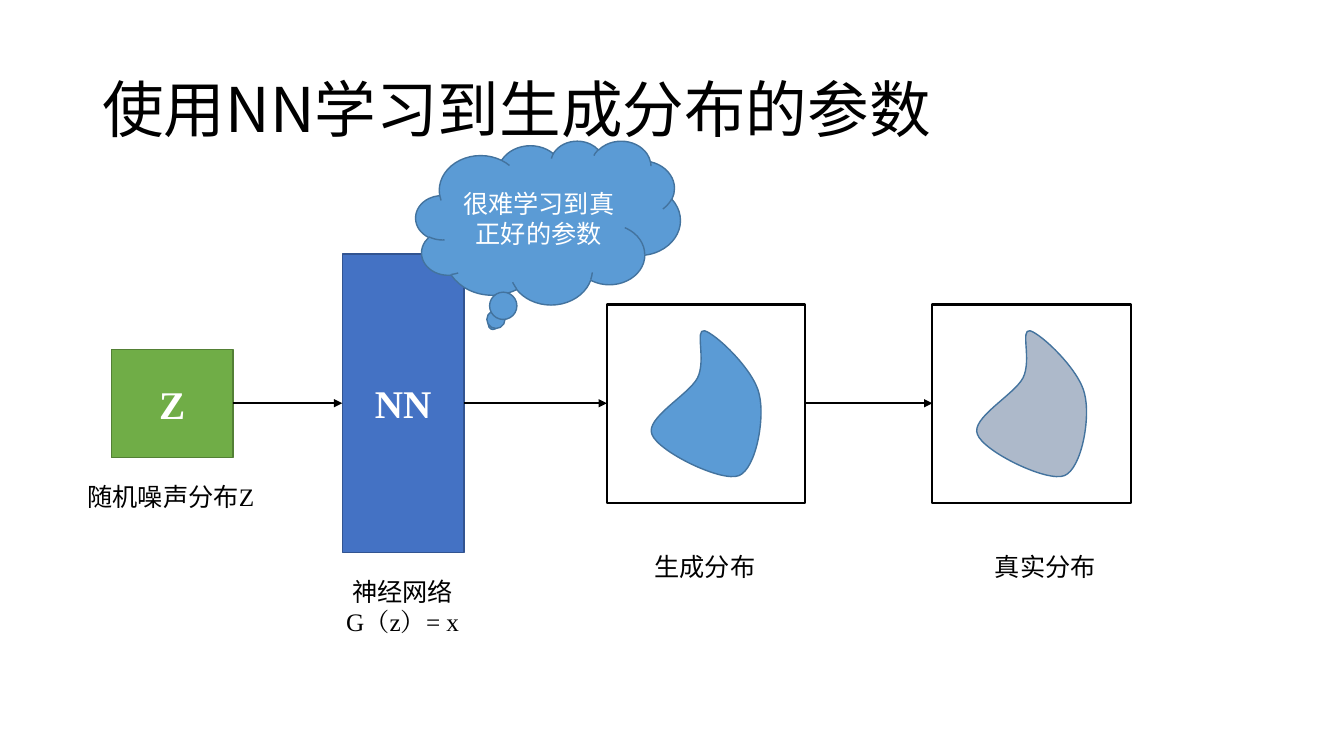
from dataclasses import dataclass

from lxml.etree import SubElement
from pptx import Presentation
from pptx.dml.color import RGBColor
from pptx.enum.shapes import MSO_CONNECTOR, MSO_SHAPE
from pptx.enum.text import MSO_ANCHOR, MSO_AUTO_SIZE, PP_ALIGN
from pptx.oxml.ns import qn
from pptx.shapes.autoshape import Shape
from pptx.util import Emu, Pt

PX = 9525
SANS = "Noto Sans CJK SC"
SERIF = "Times New Roman"
BLACK, WHITE, SKY, SKY_EDGE = "000000", "FFFFFF", "5B9BD5", "43739E"
FLOW_Y = 384

Run = tuple[str, str]
Paragraph = list[Run]
Point = tuple[int, int]


@dataclass
class Box:
    left: int
    top: int
    width: int
    height: int

    def emu(self) -> list[Emu]:
        return [px(v) for v in (self.left, self.top, self.width, self.height)]


@dataclass
class Block:
    box: Box
    word: str
    fill: str
    edge: str


@dataclass
class Distribution:
    box: Box
    blob_fill: str


@dataclass
class Label:
    box: Box
    paragraphs: list[Paragraph]
    align: PP_ALIGN = PP_ALIGN.LEFT


def px(value: int) -> Emu:
    return Emu(value * PX)


def color(value: str) -> RGBColor:
    return RGBColor.from_string(value)


def write(shape: Shape, paragraphs: list[Paragraph], *, size: int = 18, ink: str = BLACK,
          bold: bool = False, align: PP_ALIGN = PP_ALIGN.LEFT,
          anchor: MSO_ANCHOR = MSO_ANCHOR.TOP, wrap: bool = True,
          spacing: float = 1.0) -> None:
    frame = shape.text_frame
    frame.word_wrap = wrap
    frame.vertical_anchor = anchor
    for index, runs in enumerate(paragraphs):
        paragraph = frame.add_paragraph() if index else frame.paragraphs[0]
        paragraph.alignment = align
        paragraph.line_spacing = spacing
        for words, typeface in runs:
            run = paragraph.add_run()
            run.text = words
            run.font.size = Pt(size)
            run.font.bold = bold
            run.font.name = typeface
            run.font.color.rgb = color(ink)
            SubElement(run.font._element, qn("a:ea"), typeface=typeface)


def paint(shape: Shape, fill: str, edge: str, weight: float = 1) -> None:
    shape.shadow.inherit = False
    shape.fill.solid()
    shape.fill.fore_color.rgb = color(fill)
    shape.line.color.rgb = color(edge)
    shape.line.width = Pt(weight)


BLOB_GRID = (109, 144)
BLOB_START = (1, 103)
BLOB_CURVES = [
    [(-6, 87), (37, 64), (46, 47)],
    [(55, 29), (43, -2), (53, 0)],
    [(64, 3), (102, 39), (107, 63)],
    [(113, 87), (104, 137), (87, 144)],
    [(70, 151), (7, 120), BLOB_START],
]


def add_step(outline, tag: str, points: list[Point]) -> None:
    step = SubElement(outline, qn(tag))
    for x, y in points:
        SubElement(step, qn("a:pt"), x=str(x), y=str(y))


def draw_blob(shapes, frame: Box, fill: str) -> None:
    builder = shapes.build_freeform(*BLOB_START, scale=PX)
    builder.add_line_segments([curve[-1] for curve in BLOB_CURVES])
    blob = builder.convert_to_shape()
    box = Box(frame.left + 42, frame.top + 25, 105, 138)
    blob.left, blob.top, blob.width, blob.height = box.emu()
    outline = next(blob._element.iter(qn("a:path")))
    for step in list(outline):
        outline.remove(step)
    for side, length in zip("wh", BLOB_GRID):
        outline.set(side, str(length))
    add_step(outline, "a:moveTo", [BLOB_START])
    for curve in BLOB_CURVES:
        add_step(outline, "a:cubicBezTo", curve)
    add_step(outline, "a:close", [])
    paint(blob, fill, SKY_EDGE)


def draw_arrow(shapes, source: Box, target: Box) -> None:
    arrow = shapes.add_connector(MSO_CONNECTOR.STRAIGHT, px(source.left + source.width),
                                 px(FLOW_Y), px(target.left), px(FLOW_Y))
    arrow.line.color.rgb = color(BLACK)
    arrow.line.width = Pt(1.5)
    SubElement(arrow.line._get_or_add_ln(), qn("a:tailEnd"), type="triangle")
    SubElement(arrow._element.spPr, qn("a:effectLst"))


def draw_block(shapes, block: Block) -> None:
    square = shapes.add_shape(MSO_SHAPE.RECTANGLE, *block.box.emu())
    paint(square, block.fill, block.edge)
    write(square, [[(block.word, SERIF)]], size=28, ink=WHITE, bold=True,
          align=PP_ALIGN.CENTER, anchor=MSO_ANCHOR.MIDDLE)


def draw_distribution(shapes, distribution: Distribution) -> None:
    frame = shapes.add_shape(MSO_SHAPE.RECTANGLE, *distribution.box.emu())
    paint(frame, WHITE, BLACK, 1.5)
    draw_blob(shapes, distribution.box, distribution.blob_fill)


BLOCKS = [
    Block(Box(106, 333, 116, 103), "Z", "70AD47", "538035"),
    Block(Box(326, 242, 116, 284), "NN", "4472C4", "325491"),
]
DISTRIBUTIONS = [
    Distribution(Box(578, 290, 189, 189), SKY),
    Distribution(Box(888, 290, 189, 189), "ADB9CA"),
]
LABELS = [
    Label(Box(74, 454, 183, 38), [[("随机噪声分布", SANS), ("Z", SERIF)]]),
    Label(Box(305, 544, 157, 68), [[("神经网络", SANS)], [("G（z）= x", SERIF)]],
          PP_ALIGN.CENTER),
    Label(Box(614, 520, 115, 38), [[("生成分布", SANS)]]),
    Label(Box(938, 520, 115, 38), [[("真实分布", SANS)]]),
]


def main() -> None:
    deck = Presentation()
    deck.slide_width, deck.slide_height = px(1280), px(720)
    shapes = deck.slides.add_slide(deck.slide_layouts[6]).shapes

    title = shapes.add_textbox(*Box(88, 38, 1104, 139).emu())
    write(title, [[("使用NN学习到生成分布的参数", SANS)]], size=44,
          anchor=MSO_ANCHOR.MIDDLE, spacing=0.9)

    for block in BLOCKS:
        draw_block(shapes, block)
    for distribution in DISTRIBUTIONS:
        draw_distribution(shapes, distribution)

    stages = [stage.box for stage in BLOCKS + DISTRIBUTIONS]
    for source, target in zip(stages, stages[1:]):
        draw_arrow(shapes, source, target)

    for label in LABELS:
        caption = shapes.add_textbox(*label.box.emu())
        write(caption, label.paragraphs, align=label.align, wrap=False)
        caption.text_frame.auto_size = MSO_AUTO_SIZE.SHAPE_TO_FIT_TEXT

    cloud = shapes.add_shape(MSO_SHAPE.CLOUD_CALLOUT, *Box(396, 134, 252, 156).emu())
    paint(cloud, SKY, SKY_EDGE)
    write(cloud, [[("很难学习到真正好的参数", SANS)]], ink=WHITE,
          align=PP_ALIGN.CENTER, anchor=MSO_ANCHOR.MIDDLE)

    deck.save("out.pptx")


if __name__ == "__main__":
    main()
